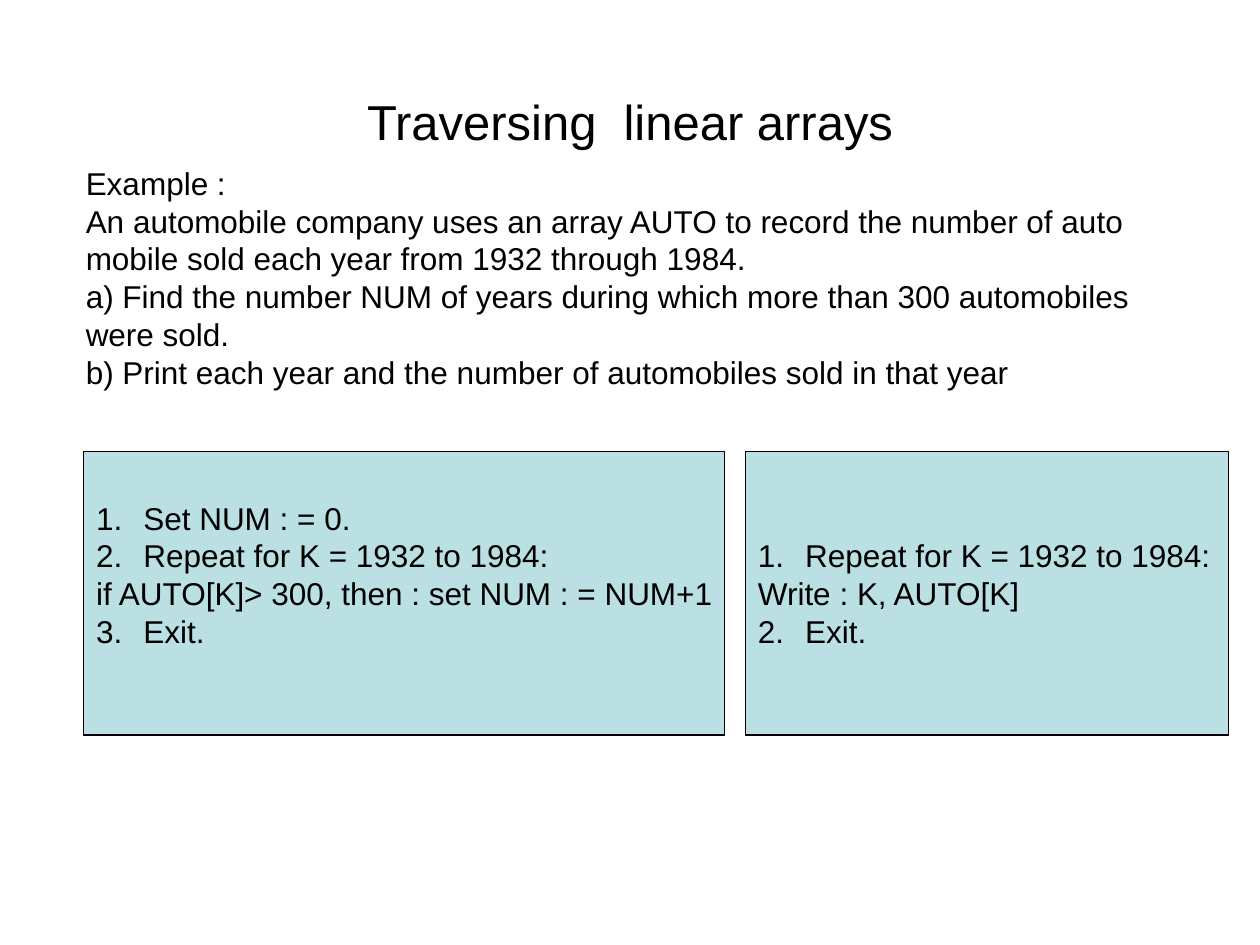
import pptx
import pptx.dml.color
import pptx.enum.shapes
import pptx.enum.text
import pptx.util
from lxml import etree
from pptx.enum.text import MSO_ANCHOR, PP_ALIGN
from pptx.oxml.ns import qn
from pptx.util import Cm

COLORS = {"text": "000000", "panel": "BBE0E3", "border": "000000"}


def color(name):
    return pptx.dml.color.RGBColor.from_string(COLORS[name])


class SlideWriter:
    font_name = "Arial"
    body_size = 18
    title_size = 28
    indent = Cm(0.95)

    def __init__(self, slide):
        self.slide = slide

    def add_run(self, paragraph, text, size):
        run = paragraph.add_run()
        run.text = text
        run.font.name = self.font_name
        run.font.size = pptx.util.Pt(size)
        run.font.color.rgb = color("text")

    def add_paragraphs(self, frame, lines, size, alignment=PP_ALIGN.LEFT):
        for index, line in enumerate(lines):
            paragraph = frame.paragraphs[0] if index == 0 else frame.add_paragraph()
            paragraph.alignment = alignment
            self.add_run(paragraph, line, size)

    def add_text(self, left, top, width, height, lines, size,
                 alignment=PP_ALIGN.LEFT, anchor=MSO_ANCHOR.TOP):
        box = self.slide.shapes.add_textbox(Cm(left), Cm(top), Cm(width), Cm(height))
        frame = box.text_frame
        frame.word_wrap = True
        frame.vertical_anchor = anchor
        self.add_paragraphs(frame, lines, size, alignment)

    def number_paragraph(self, paragraph, start):
        properties = paragraph._p.get_or_add_pPr()
        properties.set("marL", str(int(self.indent)))
        properties.set("indent", str(-int(self.indent)))
        if start is None:
            etree.SubElement(properties, qn("a:buNone"))
            return
        bullet = etree.SubElement(properties, qn("a:buAutoNum"), type="arabicPeriod")
        if start > 1:
            bullet.set("startAt", str(start))

    def add_algorithm(self, left, top, width, height, steps, bottom_inset=0.13):
        panel = self.slide.shapes.add_shape(
            pptx.enum.shapes.MSO_SHAPE.RECTANGLE, Cm(left), Cm(top), Cm(width), Cm(height))
        panel.shadow.inherit = False
        panel.fill.solid()
        panel.fill.fore_color.rgb = color("panel")
        panel.line.color.rgb = color("border")
        panel.line.width = pptx.util.Pt(0.75)
        frame = panel.text_frame
        frame.word_wrap = False
        frame.vertical_anchor = MSO_ANCHOR.MIDDLE
        frame.margin_bottom = Cm(bottom_inset)
        self.add_paragraphs(frame, [text for text, start in steps], self.body_size)
        for paragraph, (text, start) in zip(frame.paragraphs, steps):
            self.number_paragraph(paragraph, start)


def main():
    presentation = pptx.Presentation()
    presentation.slide_width = Cm(25.4)
    presentation.slide_height = Cm(19.05)
    writer = SlideWriter(presentation.slides.add_slide(presentation.slide_layouts[6]))

    writer.add_text(1.48, 3.18, 22.65, 6.75, [
        "Example :",
        "An automobile company uses an array AUTO to record the number of auto "
        "mobile sold each year from 1932 through 1984.",
        "a) Find the number NUM of years during which more than 300 automobiles were sold.",
        "b) Print each year and the number of automobiles sold in that year",
    ], writer.body_size)
    writer.add_text(1.27, 0.85, 22.86, 3.18, ["Traversing  linear arrays"],
                    writer.title_size, PP_ALIGN.CENTER, MSO_ANCHOR.MIDDLE)

    panel_top, panel_height = 9.1, 5.72
    writer.add_algorithm(1.69, panel_top, 12.91, panel_height, [
        ("Set NUM : = 0.", 1),
        ("Repeat for K = 1932 to 1984:", 1),
        ("if AUTO[K]> 300, then : set NUM : = NUM+1", None),
        ("Exit.", 3),
    ], bottom_inset=0.89)
    writer.add_algorithm(15.03, panel_top, 9.74, panel_height, [
        ("Repeat for K = 1932 to 1984:", 1),
        ("Write : K, AUTO[K]", None),
        ("Exit.", 2),
    ])
    presentation.save("out.pptx")


if __name__ == "__main__":
    main()
